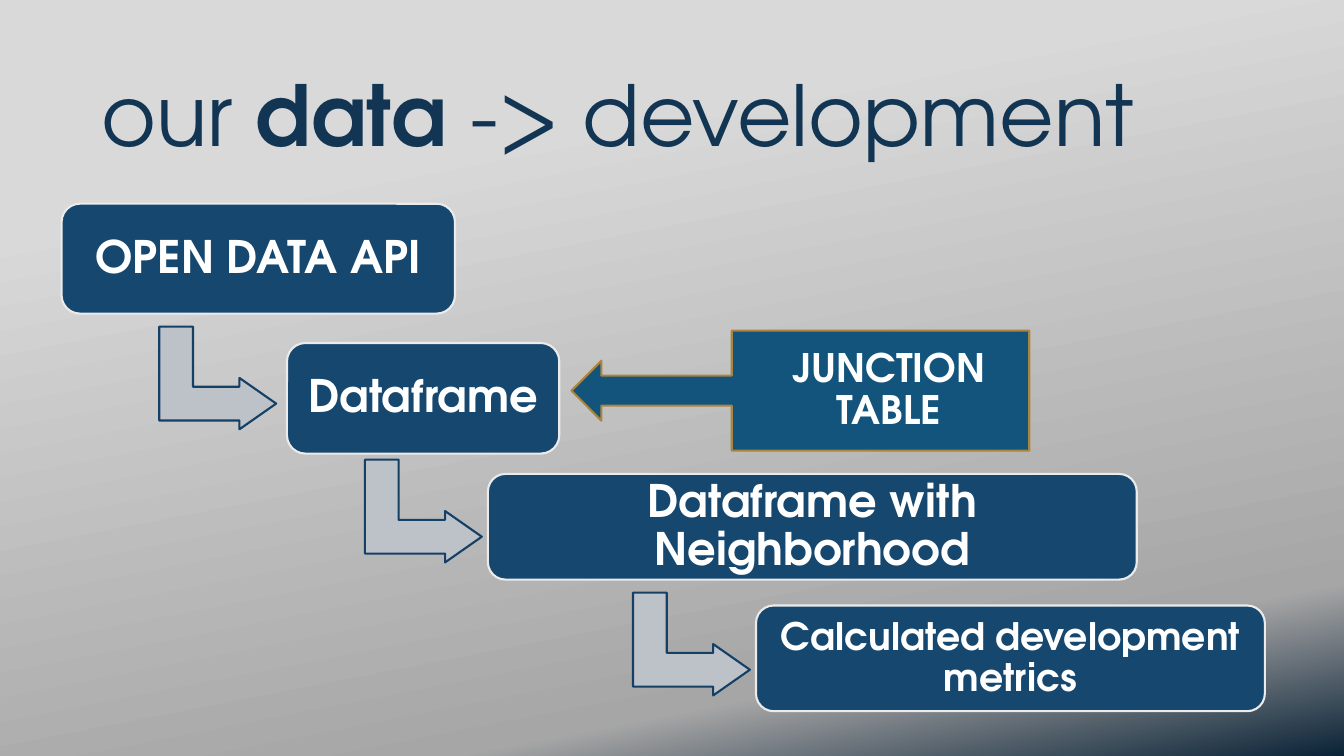
from copy import deepcopy

from pptx import Presentation
from pptx.dml.color import RGBColor
from pptx.enum.shapes import MSO_SHAPE
from pptx.enum.text import MSO_ANCHOR, MSO_AUTO_SIZE, PP_ALIGN
from pptx.oxml.ns import qn
from pptx.util import Pt

ROUNDED = MSO_SHAPE.ROUNDED_RECTANGLE
BENT_ARROW = MSO_SHAPE.BENT_UP_ARROW
CALLOUT = MSO_SHAPE.LEFT_ARROW_CALLOUT
MIDDLE, TOP = MSO_ANCHOR.MIDDLE, MSO_ANCHOR.TOP
CENTER, LEFT = PP_ALIGN.CENTER, PP_ALIGN.LEFT
GROW = MSO_AUTO_SIZE.SHAPE_TO_FIT_TEXT
TITLE_ONLY = 5

FONT = "TeX Gyre Adventor"
COLORS = {
    "title": "113553",
    "text": "FFFFFF",
    "step": "16476F",
    "step_line": "EBEBEB",
    "arrow": "BDC1C8",
    "arrow_line": "144065",
    "junction": "13547C",
    "junction_line": "A98541",
}
BACKGROUND = [(0.23, "D9D9D9"), (0.83, "A6A6A6"), (1, "0B2337")]
BACKGROUND_ANGLE = 79

STEPS = [
    ("OPEN DATA API", (44, 145.5, 281, 78.5), 32, 9.36),
    ("Dataframe", (205, 245, 194.5, 79), 32, 9.36),
    ("Dataframe with Neighborhood", (348.5, 338.5, 463.5, 75.5), 32, 9.36),
    ("Calculated development metrics", (540, 432.5, 363.5, 75.5), 27, 8),
]
ARROW_POSITIONS = [(118.8, 228.2), (265.7, 323.3), (457.2, 418.3)]
ARROW_SIZE = (73.4, 83.5)


class FlowSlide:
    def __init__(self, presentation):
        layout = presentation.slide_layouts[TITLE_ONLY]
        self.slide = presentation.slides.add_slide(layout)

    def background(self, stops, angle):
        fill = self.slide.background.fill
        fill.gradient()
        fill.gradient_angle = 360 - angle
        stop_list = self.slide.element.find(".//" + qn("a:gsLst"))
        while len(stop_list) < len(stops):
            stop_list.append(deepcopy(stop_list[-1]))
        for stop, (position, color) in zip(fill.gradient_stops, stops):
            stop.position = position
            stop.color.rgb = RGBColor.from_string(color)

    def style(self, paragraph, size, color, alignment):
        paragraph.alignment = alignment
        paragraph.font.name = FONT
        paragraph.font.size = Pt(size)
        paragraph.font.color.rgb = RGBColor.from_string(COLORS[color])

    def title(self, parts, box):
        shape = self.slide.shapes.title
        shape.left, shape.top, shape.width, shape.height = map(Pt, box)
        frame = shape.text_frame
        frame.word_wrap = True
        frame.auto_size = GROW
        frame.vertical_anchor = TOP
        paragraph = frame.paragraphs[0]
        self.style(paragraph, 60, "title", LEFT)
        for text, bold in parts:
            run = paragraph.add_run()
            run.text = text
            run.font.bold = bold

    def shape(self, kind, box, color):
        shape = self.slide.shapes.add_shape(kind, *map(Pt, box))
        shape.shadow.inherit = False
        shape.fill.solid()
        shape.fill.fore_color.rgb = RGBColor.from_string(COLORS[color])
        shape.line.color.rgb = RGBColor.from_string(COLORS[color + "_line"])
        shape.line.width = Pt(1.5)
        return shape

    def label(self, kind, text, box, color, size, margins):
        frame = self.shape(kind, box, color).text_frame
        frame.word_wrap = True
        frame.vertical_anchor = MIDDLE
        (frame.margin_left, frame.margin_top,
         frame.margin_right, frame.margin_bottom) = map(Pt, margins)
        paragraph = frame.paragraphs[0]
        paragraph.text = text
        paragraph.line_spacing = 0.9
        paragraph.font.bold = True
        self.style(paragraph, size, "text", CENTER)

    def arrow(self, position):
        shape = self.shape(BENT_ARROW, position + ARROW_SIZE, "arrow")
        shape.rotation = 90
        for index, value in enumerate((0.328, 0.25, 0.358)):
            shape.adjustments[index] = value


def main():
    presentation = Presentation()
    presentation.slide_width = Pt(960)
    presentation.slide_height = Pt(540)

    flow = FlowSlide(presentation)
    flow.background(BACKGROUND, BACKGROUND_ANGLE)
    flow.title([("our", False), (" data ", True), ("-> development", False)],
               (65, 41, 778, 80))
    for position in ARROW_POSITIONS:
        flow.arrow(position)
    for text, box, size, margin in STEPS:
        flow.label(ROUNDED, text, box, "step", size, [margin] * 4)
    flow.label(CALLOUT, "JUNCTION TABLE", (408.2, 236.2, 327, 85.7),
               "junction", 28, (28, 10, 16, 10))

    presentation.save("out.pptx")


if __name__ == "__main__":
    main()
